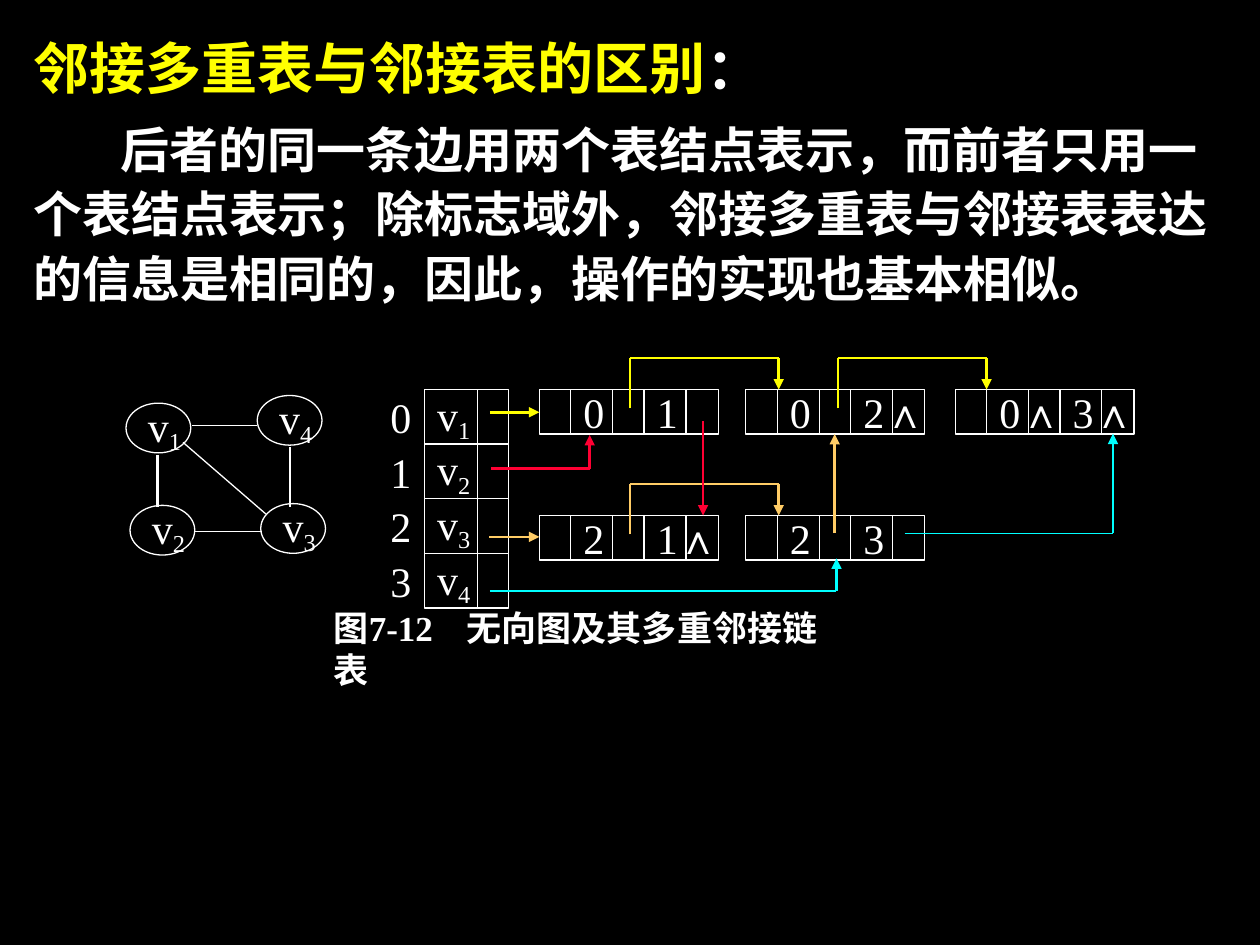
from itertools import pairwise

from lxml.etree import SubElement as Sub
from pptx import Presentation
from pptx.dml.color import RGBColor as Rgb
from pptx.enum.shapes import MSO_CONNECTOR as Conn, MSO_SHAPE as Kind
from pptx.enum.text import MSO_ANCHOR as Anchor, PP_ALIGN as Align
from pptx.oxml.ns import qn
from pptx.util import Pt

HUES = {
    "black": "000000",
    "white": "FFFFFF",
    "yellow": "FFFF00",
    "orange": "FFCC66",
    "red": "FF0033",
    "cyan": "00FFFF",
}
LATIN = "Times New Roman"
HAN = "Noto Sans CJK SC"


def hue(name):
    return Rgb.from_string(HUES[name])


def add_run(para, text, size=24, color="white", bold=False, sub=False):
    run = para.add_run()
    run.text = text
    font = run.font
    font.size, font.bold, font.name = Pt(size), bold, LATIN
    font.color.rgb = hue(color)
    props = run._r.get_or_add_rPr()
    Sub(props, qn("a:ea")).set("typeface", HAN)
    if sub:
        props.set("baseline", "-20000")


def set_tab(para, pos):
    tabs = Sub(para._p.get_or_add_pPr(), qn("a:tabLst"))
    tab = Sub(tabs, qn("a:tab"))
    tab.set("pos", str(Pt(pos)))
    tab.set("algn", "l")


def line_up(shape):
    frame = shape.text_frame
    frame.word_wrap = False
    frame.vertical_anchor = Anchor.MIDDLE
    para = frame.paragraphs[0]
    para.alignment = Align.LEFT
    return para


def add_text(shapes, x, y, w, h):
    return shapes.add_textbox(Pt(x), Pt(y), Pt(w), Pt(h))


def add_box(shapes, kind, x, y, w, h):
    box = shapes.add_shape(kind, Pt(x), Pt(y), Pt(w), Pt(h))
    box.shadow.inherit = False
    box.fill.background()
    box.line.color.rgb = hue("white")
    box.line.width = Pt(0.75)
    return box


def add_line(shapes, start, end, color="white", width=0.75, arrow=False):
    line = shapes.add_connector(Conn.STRAIGHT, *map(Pt, start + end))
    line.line.color.rgb = hue(color)
    line.line.width = Pt(width)
    props = line._element.spPr
    if arrow:
        Sub(props.find(qn("a:ln")), qn("a:tailEnd")).set("type", "triangle")
    Sub(props, qn("a:effectLst"))


def add_name(shape, num):
    para = line_up(shape)
    add_run(para, "v")
    add_run(para, str(num), sub=True)


def add_intro(slide, x, y, w, h):
    frame = add_text(slide.shapes, x, y, w, h).text_frame
    frame.word_wrap = True
    head = frame.paragraphs[0]
    head.line_spacing = 1.1
    add_run(head, "邻接多重表与邻接表的区别", 32, "yellow", True)
    add_run(head, "：", 32, bold=True)
    body = frame.add_paragraph()
    body.line_spacing = 1.1
    body.space_before = Pt(7)
    props = body._p.get_or_add_pPr()
    props.set("marL", "0")
    props.set("indent", str(Pt(50)))
    add_run(body, "后者的同一条边用两个表结点表示，而前者只用一个表结点表示；"
            "除标志域外，邻接多重表与邻接表表达的信息是相同的，因此，"
            "操作的实现也基本相似。", 28, bold=True)


def add_graph(slide, x, y):
    shapes = slide.shapes.add_group_shape().shapes
    spots = [(0, 4.4), (2.3, 62.8), (77, 61.8), (75, 0)]
    for num, (left, top) in enumerate(spots, 1):
        oval = add_box(shapes, Kind.OVAL, x + left, y + top, 37, 28.4)
        add_name(oval, num)
    edges = [
        ((18, 34), (18, 64), 1.5),
        ((93.8, 29.5), (93.8, 63.5), 1.5),
        ((32.6, 26.8), (80, 67.8), 0.75),
        ((37.6, 17.3), (75, 17.3), 0.75),
        ((39, 77.6), (78, 77.6), 0.75),
    ]
    for (ax, ay), (bx, by), width in edges:
        add_line(shapes, (x + ax, y + ay), (x + bx, y + by), width=width)


def add_head(shapes, x, y, row):
    step = 31.2
    top = y + row * step
    label = add_text(shapes, x, top, 22.3, step)
    add_run(line_up(label), str(row))
    cell = add_box(shapes, Kind.RECTANGLE, x + 26.7, top, 48, step)
    add_name(cell, row + 1)
    add_line(shapes, (x + 56.9, top), (x + 56.9, top + step))


def add_node(shapes, x, y, text):
    high = 25.4
    node = add_box(shapes, Kind.RECTANGLE, x, y, 102.2, high)
    node.text_frame.margin_left = Pt(25.2)
    node.text_frame.margin_right = 0
    para = line_up(node)
    set_tab(para, 42)
    add_run(para, text)
    for gap in (18, 41.9, 59.9, 83.8):
        add_line(shapes, (x + gap, y), (x + gap, y + high))


def add_wire(shapes, x, y, color, points, flat=1.5):
    pairs = list(pairwise((x + px, y + py) for px, py in points))
    for start, end in pairs:
        width = flat if start[1] == end[1] else 1.5
        add_line(shapes, start, end, color, width, (start, end) == pairs[-1])


def add_list(slide, x, y):
    shapes = slide.shapes.add_group_shape().shapes
    for row in range(4):
        add_head(shapes, x, y + 18, row)
    nodes = [
        (92.2, 18, "0\t1"), (210.2, 18, "0\t2∧"), (329.8, 18, "0∧ 3∧"),
        (92.2, 90, "2\t1∧"), (210.2, 90, "2\t3"),
    ]
    for left, top, text in nodes:
        add_node(shapes, x + left, y + top, text)
    for color, left, top in [("yellow", 144, 0), ("yellow", 262.8, 0),
                             ("orange", 144, 72)]:
        loop = [(0, 28.8), (0, 0), (85, 0), (85, 18)]
        add_wire(shapes, x + left, y + top, color, loop, 0.75)
    wires = [
        ("yellow", [(64, 31), (92.2, 31)]),
        ("orange", [(63.5, 102.2), (92.2, 102.2)]),
        ("red", [(64.8, 63.2), (121, 63.2), (121, 44)]),
        ("red", [(185.8, 36), (185.8, 90)]),
        ("orange", [(261, 100), (261, 43.4)]),
        ("cyan", [(64, 133.2), (262, 133.2), (262, 114.5)]),
    ]
    for color, points in wires:
        add_wire(shapes, x, y, color, points)
    last = [(301, 100.2), (420, 100.2), (420, 43.2)]
    add_wire(shapes, x, y, "cyan", last, 0.75)


def add_note(slide, x, y, w, h):
    para = line_up(add_text(slide.shapes, x, y, w, h))
    set_tab(para, 76)
    add_run(para, "图7-12\t无向图及其多重邻接链表", 20, bold=True)


def main():
    deck = Presentation()
    deck.slide_width, deck.slide_height = Pt(720), Pt(540)
    slide = deck.slides.add_slide(deck.slide_layouts[6])
    fill = slide.background.fill
    fill.solid()
    fill.fore_color.rgb = hue("black")
    add_intro(slide, 12, 12, 694, 173)
    add_note(slide, 183.6, 358, 291.6, 25)
    add_graph(slide, 72, 226)
    add_list(slide, 216, 204.6)
    deck.save("out.pptx")


if __name__ == "__main__":
    main()
